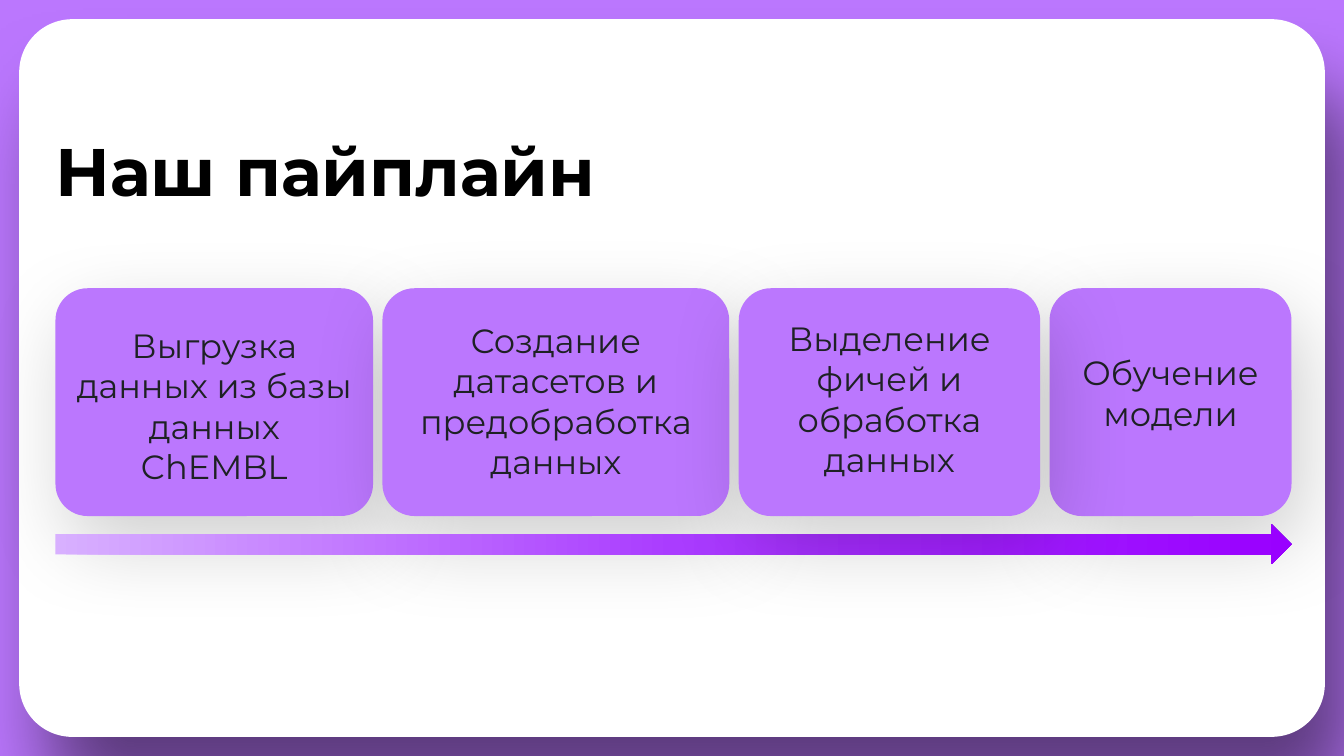
"""Build the slide «Наш пайплайн»: four pipeline steps above a gradient arrow."""
from dataclasses import dataclass

from pptx import Presentation
from pptx.dml.color import RGBColor
from pptx.enum.shapes import MSO_SHAPE
from pptx.enum.text import MSO_ANCHOR, MSO_AUTO_SIZE, PP_ALIGN
from pptx.oxml import parse_xml
from pptx.oxml.ns import nsdecls, qn
from pptx.util import Inches, Pt


@dataclass(frozen=True)
class Theme:
    font: str = "Montserrat"
    purple: str = "BB77FE"
    white: str = "FFFFFF"
    black: str = "000000"
    ink: str = "1E2124"
    arrow: tuple = ("D8B0FF", "AA3CFF", "9900FF")
    title_size: int = 48
    step_size: int = 24


theme = Theme()


def write(frame, text, size, color, bold=False, align=PP_ALIGN.LEFT, spacing=1.0):
    frame.word_wrap = True
    frame.auto_size = MSO_AUTO_SIZE.NONE
    frame.vertical_anchor = MSO_ANCHOR.TOP
    para = frame.paragraphs[0]
    para.alignment = align
    para.line_spacing = spacing
    para.space_before = Pt(0)
    span = para.add_run()
    span.text = text
    span.font.name = theme.font
    span.font.size = Pt(size)
    span.font.bold = bold
    span.font.color.rgb = RGBColor.from_string(color)


def add_card(left, top, width, height, rounding, color, shadow=None):
    card = page.shapes.add_shape(
        MSO_SHAPE.ROUNDED_RECTANGLE,
        Inches(left), Inches(top), Inches(width), Inches(height))
    card.adjustments[0] = rounding
    card.fill.solid()
    card.fill.fore_color.rgb = RGBColor.from_string(color)
    card.line.fill.background()
    card.shadow.inherit = False
    if shadow:
        opacity, distance = shadow
        effects = card.element.spPr.find(qn("a:effectLst"))
        effects.append(parse_xml(
            f'<a:outerShdw {nsdecls("a")} blurRad="{Pt(60)}" dist="{Pt(distance)}" '
            f'dir="{68 * 60000}" algn="ctr" rotWithShape="0">'
            f'<a:srgbClr val="{theme.black}"><a:alpha val="{opacity * 1000}"/>'
            f'</a:srgbClr></a:outerShdw>'))
    return card


deck = Presentation()
deck.slide_width = Inches(13.33)
deck.slide_height = Inches(7.5)
page = deck.slides.add_slide(deck.slide_layouts[5])
page.background.fill.solid()
page.background.fill.fore_color.rgb = RGBColor.from_string(theme.purple)

title = page.shapes.title
panels = [
    add_card(0.19, 0.19, 12.95, 7.12, 0.074, theme.white, shadow=(49, 53.9)),
    add_card(0.36, 0.4, 12.62, 6.7, 0.074, theme.white),
]
for panel in panels:
    title.element.addprevious(panel.element)

title.left, title.top = Inches(0.55), Inches(1.27)
title.width, title.height = Inches(11.21), Inches(1.06)
title_frame = title.text_frame
title_frame.margin_left = title_frame.margin_right = 0
title_frame.margin_top = title_frame.margin_bottom = 0
write(title_frame, "Наш пайплайн", theme.title_size, theme.black,
      bold=True, spacing=1.01)

steps = [
    ("Выгрузка данных из базы данных ChEMBL", 3.15, 0.27),
    ("Создание датасетов и предобработка данных", 3.44, 0.22),
    ("Выделение фичей и обработка данных", 2.99, 0.2),
    ("Обучение модели", 2.4, 0.54),
]
row_left, row_width = 0.55, 12.26
gap = (row_width - sum(width for _, width, _ in steps)) / (len(steps) - 1)
left = row_left
boxes = []
for text, width, inset in steps:
    box = add_card(left, 2.86, width, 2.26, 0.141, theme.purple, shadow=(18, 21))
    box.text_frame.margin_top = Inches(inset)
    write(box.text_frame, text, theme.step_size, theme.ink, align=PP_ALIGN.CENTER)
    boxes.append(box)
    left += width + gap

arrow = page.shapes.add_shape(
    MSO_SHAPE.RIGHT_ARROW,
    Inches(row_left), Inches(5.2), Inches(row_width), Inches(0.4))
stops = "".join(
    f'<a:gs pos="{index * 50000}"><a:srgbClr val="{color}"/></a:gs>'
    for index, color in enumerate(theme.arrow))
arrow.element.spPr.append(parse_xml(
    f'<a:gradFill {nsdecls("a")} rotWithShape="1"><a:gsLst>{stops}</a:gsLst>'
    '<a:lin ang="0" scaled="0"/></a:gradFill>'))
arrow.line.fill.background()
arrow.shadow.inherit = False
arrow.element.addnext(boxes[2].element)

deck.save("out.pptx")
